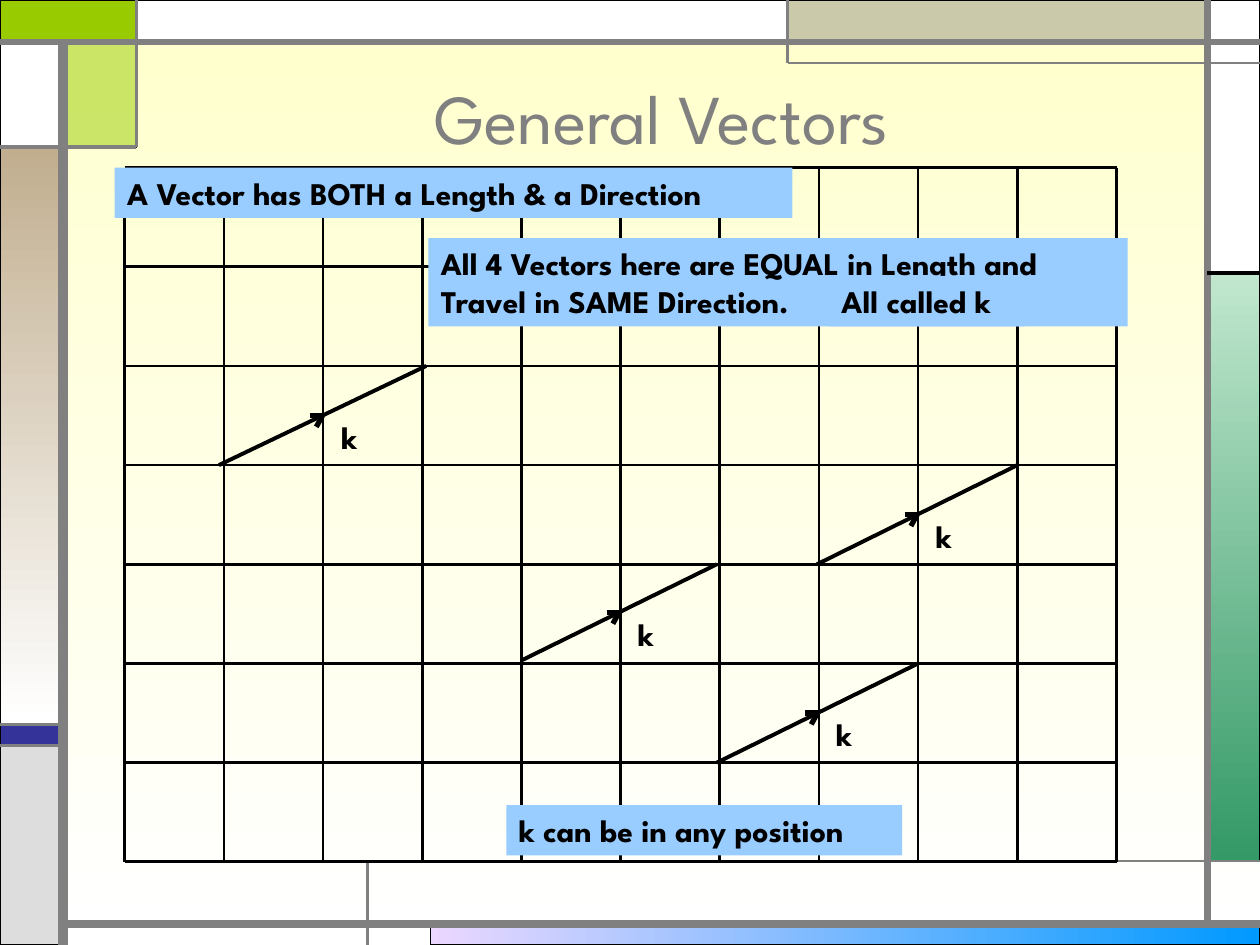
from lxml import etree
from pptx import Presentation
from pptx.dml.color import RGBColor
from pptx.enum.shapes import MSO_CONNECTOR, MSO_SHAPE
from pptx.enum.text import MSO_ANCHOR, PP_ALIGN
from pptx.oxml.ns import qn
from pptx.util import Inches, Pt

STRAIGHT = MSO_CONNECTOR.STRAIGHT
RECTANGLE = MSO_SHAPE.RECTANGLE
MIDDLE, TOP = MSO_ANCHOR.MIDDLE, MSO_ANCHOR.TOP
LEFT, CENTER = PP_ALIGN.LEFT, PP_ALIGN.CENTER

FONT = "League Spartan"
COLORS = {
    "black": "000000", "white": "FFFFFF", "gray": "808080", "silver": "DDDDDD",
    "cream": "FFFFCC", "khaki": "CAC9AA", "tan": "C1AE8F", "lime": "99CC00",
    "mint": "C1E7CE", "green": "339966", "navy": "333399", "lilac": "EBD7FF",
    "azure": "0099FF", "note": "99CCFF",
}

WIDTH, HEIGHT = 10, 7.5
UNIT = WIDTH / 120          # the frame sits on a 120 x 90 grid
GRID_LEFT, GRID_TOP = 0.99, 1.33
COLUMNS, ROWS = 10, 7
CELL = 5.51 / ROWS

# left, top, width, height in frame units; fill (two names make a gradient); angle
PANELS = [
    (41, 88, 79, 2, ("lilac", "azure"), 0),
    (115, 26, 5, 56, ("mint", "green"), 270),
    (0, 69, 6, 2, ("navy",), 0),
    (0, 71, 6, 19, ("silver",), 0),
    (115, 0, 5, 26, ("white",), 0),
    (75, 0, 40, 4, ("khaki",), 0),
    (0, 14, 6, 55, ("tan", "white"), 270),
    (0, 4, 6, 10, ("white",), 0),
    (13, 0, 62, 4, ("white",), 0),
    (0, 0, 13, 4, ("lime",), 0),
]
GLASS_PANEL = (6, 4, 7, 10, ("lime",), 0)

# x1, y1, x2, y2 in frame units; colour; points
BARS = [
    (6, 90, 6, 4, "gray", 6),
    (6, 88, 120, 88, "gray", 4.5),
    (115, 88, 115, 0, "gray", 4.5),
    (0, 4, 120, 4, "gray", 3),
    (120, 6, 75, 6, "gray", 1.5),
    (75, 6, 75, 0, "gray", 1.5),
    (115, 26, 120, 26, "black", 2.25),
    (13, 0, 13, 14, "gray", 1.5),
    (13, 14, 0, 14, "gray", 2.25),
    (35, 90, 35, 82, "gray", 1.5),
    (35, 82, 120, 82, "gray", 1.5),
    (6, 69, 0, 69, "gray", 2.25),
    (6, 71, 0, 71, "gray", 2.25),
]

# start column, start row, end column, end row on the square grid
VECTORS = [
    (0.95, 3, 3.04, 2),
    (4, 4.97, 5.97, 4),
    (5.97, 6, 8, 5),
    (6.98, 4, 9, 3),
]


def color(name):
    return RGBColor.from_string(COLORS[name])


def set_fill(fill, names, angle=0):
    if len(names) == 1:
        fill.solid()
        fill.fore_color.rgb = color(names[0])
        return
    fill.gradient()
    fill.gradient_angle = angle
    for stop, name, position in zip(fill.gradient_stops, names, (0, 1)):
        stop.color.rgb = color(name)
        stop.position = position


def grid_point(column, row):
    return GRID_LEFT + column * CELL, GRID_TOP + row * CELL


def add_line(slide, x1, y1, x2, y2, weight, name="black"):
    line = slide.shapes.add_connector(
        STRAIGHT, Inches(x1), Inches(y1), Inches(x2), Inches(y2))
    line.line.color.rgb = color(name)
    line.line.width = Pt(weight)
    etree.SubElement(line._element.spPr, qn("a:effectLst"))


def add_panel(slide, left, top, width, height, fill_names, angle):
    panel = slide.shapes.add_shape(
        RECTANGLE, *(Inches(n * UNIT) for n in (left, top, width, height)))
    panel.shadow.inherit = False
    set_fill(panel.fill, fill_names, angle)
    panel.line.color.rgb = color("black")
    panel.line.width = Pt(0.75)
    return panel


def add_frame(slide):
    for panel in PANELS:
        add_panel(slide, *panel)
    glass = add_panel(slide, *GLASS_PANEL)
    tint = glass._element.spPr.find(qn("a:solidFill"))[0]
    etree.SubElement(tint, qn("a:alpha"), val="50000")
    for *ends, name, weight in BARS:
        add_line(slide, *(n * UNIT for n in ends), weight, name)


def write(frame, lines, size, name, bold=False, align=LEFT, anchor=TOP):
    frame.word_wrap = True
    frame.vertical_anchor = anchor
    for index, words in enumerate(lines):
        paragraph = frame.add_paragraph() if index else frame.paragraphs[0]
        paragraph.alignment = align
        run = paragraph.add_run()
        run.text = words
        run.font.name = FONT
        run.font.size = Pt(size)
        run.font.bold = bold
        run.font.color.rgb = color(name)


def add_note(slide, left, top, width, height, *lines):
    note = slide.shapes.add_shape(
        RECTANGLE, Inches(left), Inches(top), Inches(width), Inches(height))
    note.shadow.inherit = False
    set_fill(note.fill, ("note",))
    note.line.fill.background()
    write(note.text_frame, lines, 18, "black", bold=True)


def add_square_grid(slide):
    for column in range(COLUMNS + 1):
        add_line(slide, *grid_point(column, 0), *grid_point(column, ROWS), 1.5)
    for row in range(ROWS + 1):
        add_line(slide, *grid_point(0, row), *grid_point(COLUMNS, row), 1.5)


def add_vector(slide, column1, row1, column2, row2):
    """Draw a line with an open arrowhead and the label k at its middle."""
    add_line(slide, *grid_point(column1, row1), *grid_point(column2, row2), 2.25)
    x, y = grid_point((column1 + column2) / 2, (row1 + row2) / 2)
    for dx, dy in ((-0.1, 0), (-0.05, 0.09)):
        add_line(slide, x + dx, y + dy, x, y, 3)
    label = slide.shapes.add_textbox(
        Inches(x + 0.05), Inches(y - 0.03), Inches(0.35), Inches(0.4))
    write(label.text_frame, ["k"], 18, "black", bold=True)


def add_title(slide, words):
    title = slide.shapes.title
    title.left, title.top = Inches(1), Inches(0.3)
    title.width, title.height = Inches(8.5), Inches(1.25)
    write(title.text_frame, [words], 40, "gray", align=CENTER, anchor=MIDDLE)


def main():
    deck = Presentation()
    deck.slide_width, deck.slide_height = Inches(WIDTH), Inches(HEIGHT)
    slide = deck.slides.add_slide(deck.slide_layouts[5])
    set_fill(slide.background.fill, ("cream", "white"), 270)
    add_frame(slide)
    add_title(slide, "General Vectors")
    add_square_grid(slide)
    add_note(slide, 0.91, 1.33, 5.38, 0.4,
             "A Vector has BOTH a Length & a Direction")
    add_note(slide, 4.02, 6.39, 3.14, 0.4, "k can be in any position")
    for vector in VECTORS:
        add_vector(slide, *vector)
    add_note(slide, 3.4, 1.89, 5.55, 0.7,
             "All 4 Vectors here are EQUAL in Length and",
             "Travel in SAME Direction.")
    add_note(slide, 6.58, 2.19, 1.55, 0.4, "All called k")
    deck.save("out.pptx")


if __name__ == "__main__":
    main()
